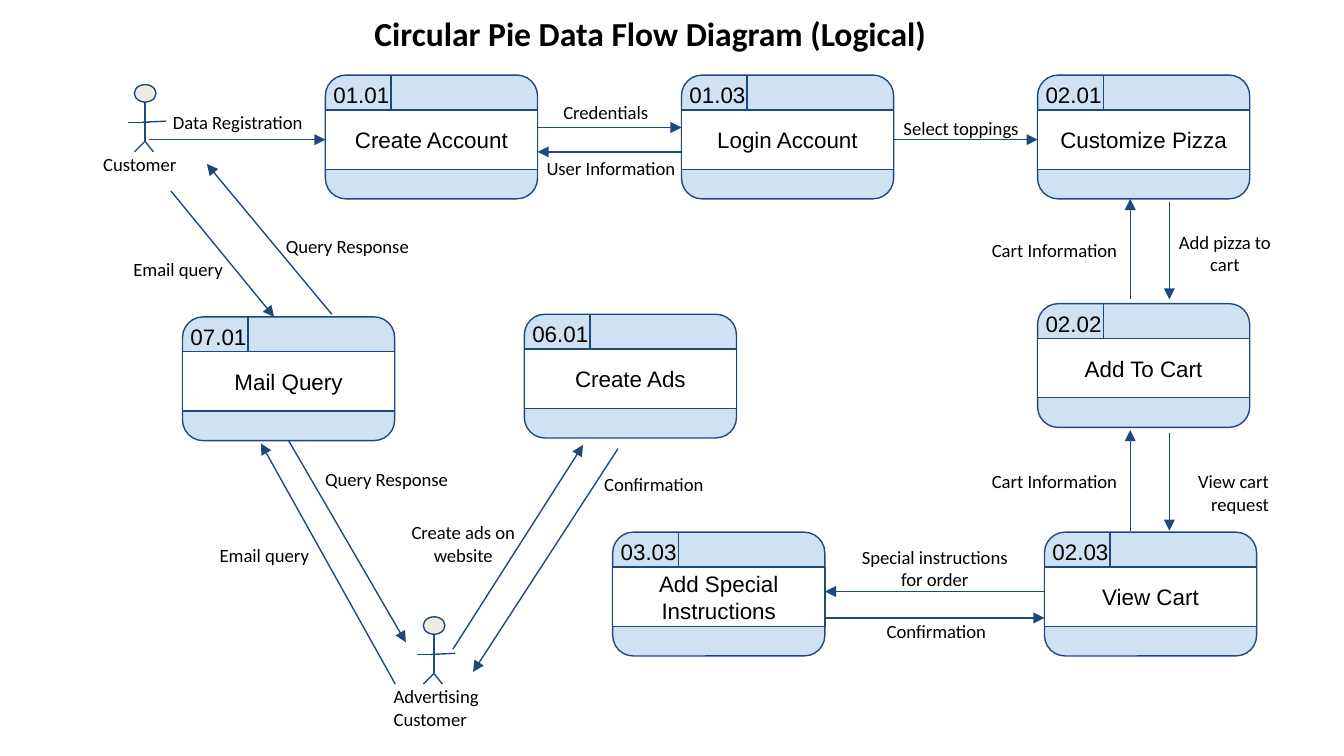
from dataclasses import dataclass

from lxml.etree import SubElement
from pptx import Presentation
from pptx.dml.color import RGBColor as RGB
from pptx.enum.shapes import MSO_CONNECTOR as CON, MSO_SHAPE as SHP
from pptx.enum.text import MSO_ANCHOR as ANC, MSO_AUTO_SIZE as AUTO, PP_ALIGN as AL
from pptx.oxml.ns import qn
from pptx.util import Cm, Pt


@dataclass(frozen=True)
class Theme:
    ink: RGB = RGB(0, 0, 0)
    line: RGB = RGB.from_string("1F497D")
    band: RGB = RGB.from_string("CFE2F3")
    body: RGB = RGB.from_string("FFFFFF")
    head: RGB = RGB.from_string("EEECE1")
    label_font: str = "Calibri"
    box_font: str = "Arial"
    title_size: int = 18
    gap_size: int = 14
    box_size: int = 12
    label_size: int = 10
    line_width: float = 0.75
    inset: float = 0.25


def assign(obj, values):
    for name, value in values.items():
        setattr(obj, name, value)


class Diagram:
    box_w, box_h = 4.01, 2.34
    header_h, body_h = 0.66, 1.12

    def __init__(self, s, theme):
        self.s, self.theme = s, theme

    def place(self, sp, x, y, w, h):
        assign(sp, dict(left=Cm(x), top=Cm(y), width=Cm(w), height=Cm(h)))

    def set_text(self, sp, runs, align, anchor=ANC.TOP):
        tf = sp.text_frame
        inset = Cm(self.theme.inset)
        assign(tf, dict(word_wrap=True, auto_size=AUTO.NONE, vertical_anchor=anchor,
                        margin_left=inset, margin_right=inset,
                        margin_top=inset, margin_bottom=inset))
        p = tf.paragraphs[0]
        p.alignment = align
        for text, font, size, bold in runs:
            r = p.add_run()
            r.text = text
            assign(r.font, dict(name=font, size=Pt(size), bold=bold))
            r.font.color.rgb = self.theme.ink

    def title(self, parts, x, y, w, h):
        t = self.theme
        sp = self.s.shapes.title
        self.place(sp, x, y, w, h)
        main = [(text, t.label_font, t.title_size, True) for text in parts]
        gap = (" ", t.box_font, t.gap_size, False)
        self.set_text(sp, [main[0], gap, main[1]], AL.CENTER)

    def label(self, text, x, y, w, h, align):
        sp = self.s.shapes.add_textbox(Cm(x), Cm(y), Cm(w), Cm(h))
        self.set_text(sp, [(text, self.theme.label_font, self.theme.label_size, False)], align)

    def shape(self, shapes, kind, x, y, w, h, fill):
        sp = shapes.add_shape(kind, Cm(x), Cm(y), Cm(w), Cm(h))
        sp.shadow.inherit = False
        sp.fill.solid()
        sp.fill.fore_color.rgb = fill
        self.outline(sp)
        return sp

    def outline(self, sp):
        sp.line.color.rgb = self.theme.line
        sp.line.width = Pt(self.theme.line_width)

    def line(self, x1, y1, x2, y2, shapes=None, arrow=False):
        shapes = shapes or self.s.shapes
        c = shapes.add_connector(CON.STRAIGHT, Cm(x1), Cm(y1), Cm(x2), Cm(y2))
        self.outline(c)
        if arrow:
            SubElement(c.line._get_or_add_ln(), qn("a:tailEnd"), type="triangle")
        SubElement(c._element.spPr, qn("a:effectLst"))
        return c

    def flow(self, x1, y1, x2, y2, begin=None, end=None):
        c = self.line(x1, y1, x2, y2, arrow=True)
        if begin:
            c.begin_connect(*begin)
        if end:
            c.end_connect(*end)

    def process(self, number, name, x, y):
        t = self.theme
        shapes = self.s.shapes.add_group_shape().shapes
        frame = self.shape(shapes, SHP.ROUNDED_RECTANGLE, x, y, self.box_w, self.box_h, t.band)
        tag = shapes.add_textbox(Cm(x - 0.22), Cm(y - 0.13), Cm(1.8), Cm(0.94))
        self.set_text(tag, [(number, t.box_font, t.box_size, False)], AL.CENTER)
        body = self.shape(shapes, SHP.RECTANGLE, x, y + self.header_h,
                          self.box_w, self.body_h, t.body)
        self.set_text(body, [(name, t.box_font, t.box_size, False)], AL.CENTER, ANC.MIDDLE)
        self.line(x + 1.24, y, x + 1.24, y + self.header_h, shapes)
        return frame, body

    def actor(self, x, y):
        shapes = self.s.shapes.add_group_shape().shapes
        self.shape(shapes, SHP.OVAL, x, y, 0.41, 0.33, self.theme.head)
        for x1, y1, x2, y2 in LIMBS:
            self.line(x + x1, y + y1, x + x2, y + y2, shapes)


LIMBS = [
    (0.2, 0.33, 0.2, 1.07),
    (0.2, 1.07, 0, 1.27),
    (0.2, 1.07, 0.36, 1.27),
    (0.15, 0.71, 0.6, 0.69),
    (0.28, 0.71, -0.12, 0.71),
]
ACTORS = [(2.54, 1.6), (8, 11.66)]
PROCESSES = [
    ("01.01", "Create Account", 6.15, 1.42),
    ("01.03", "Login Account", 12.88, 1.42),
    ("02.01", "Customize Pizza", 19.61, 1.42),
    ("02.03", "View Cart", 19.74, 10.06),
    ("02.02", "Add To Cart", 19.61, 5.74),
    ("03.03", "Add Special Instructions", 11.58, 10.06),
    ("06.01", "Create Ads", 9.91, 5.94),
    ("07.01", "Mail Query", 3.45, 5.99),
]
LABELS = [
    ("Customer", 1.7, 2.64, 2.18, 0.94, AL.LEFT),
    ("Data Registration", 3.02, 1.85, 3.43, 0.86, AL.LEFT),
    ("Credentials", 10.24, 1.65, 2.26, 0.99, AL.RIGHT),
    ("User Information", 9.91, 2.72, 3.1, 0.99, AL.RIGHT),
    ("Select toppings", 16.71, 1.96, 2.79, 0.99, AL.RIGHT),
    ("Add pizza to cart", 22.02, 4.11, 2.26, 0.99, AL.CENTER),
    ("Cart Information", 18.26, 4.27, 3.1, 0.99, AL.RIGHT),
    ("View cart request", 21.97, 8.64, 2.26, 0.99, AL.RIGHT),
    ("Cart Information", 18.26, 8.64, 3.1, 0.99, AL.RIGHT),
    ("Special instructions for order", 15.95, 10.06, 3.43, 1.04, AL.CENTER),
    ("Confirmation", 15.98, 11.46, 3.43, 1.04, AL.CENTER),
    ("Advertising Customer", 7.19, 12.7, 2.18, 1.37, AL.LEFT),
    ("Email query", 1.65, 4.62, 3.43, 1.04, AL.CENTER),
    ("Query Response", 4.85, 4.19, 3.43, 1.04, AL.CENTER),
    ("Email query", 3.28, 10.03, 3.43, 1.04, AL.CENTER),
    ("Query Response", 5.59, 8.59, 3.43, 1.04, AL.CENTER),
    ("Create ads on website", 7.04, 9.6, 3.43, 1.04, AL.CENTER),
    ("Confirmation", 10.64, 8.69, 3.43, 1.04, AL.CENTER),
]
FLOWS = [
    (12.88, 2.87, 10.16, 2.87),
    (10.16, 2.41, 12.88, 2.41),
    (22.1, 3.81, 22.1, 5.66),
    (21.36, 5.66, 21.36, 3.76),
    (22.1, 8.18, 22.1, 10.03),
    (21.36, 10.03, 21.36, 8.13),
    (19.74, 11.18, 15.59, 11.18),
    (15.59, 11.68, 19.74, 11.68),
    (3.23, 3.61, 5.18, 5.99),
    (7.47, 12.93, 4.93, 8.38),
    (6.27, 5.94, 3.91, 3.1),
    (8.56, 12.27, 11.02, 8.41),
    (11.68, 8.48, 8.94, 12.7),
]


def main():
    prs = Presentation()
    assign(prs, dict(slide_width=Cm(25.4), slide_height=Cm(14.29)))
    d = Diagram(prs.slides.add_slide(prs.slide_layouts[5]), Theme())
    d.title(("Circular Pie", "Data Flow Diagram (Logical)"), 2.6, 0, 19.38, 1.27)
    boxes = {row[0]: d.process(*row) for row in PROCESSES}
    for row in ACTORS:
        d.actor(*row)
    for row in FLOWS:
        d.flow(*row)
    d.flow(2.82, 2.64, 6.15, 2.64, end=(boxes["01.01"][1], 1))
    d.flow(16.89, 2.64, 19.61, 2.64, (boxes["01.03"][1], 3), (boxes["02.01"][1], 1))
    d.flow(5.46, 8.33, 7.67, 12.14, begin=(boxes["07.01"][0], 2))
    for row in LABELS:
        d.label(*row)
    prs.save("out.pptx")


if __name__ == "__main__":
    main()
